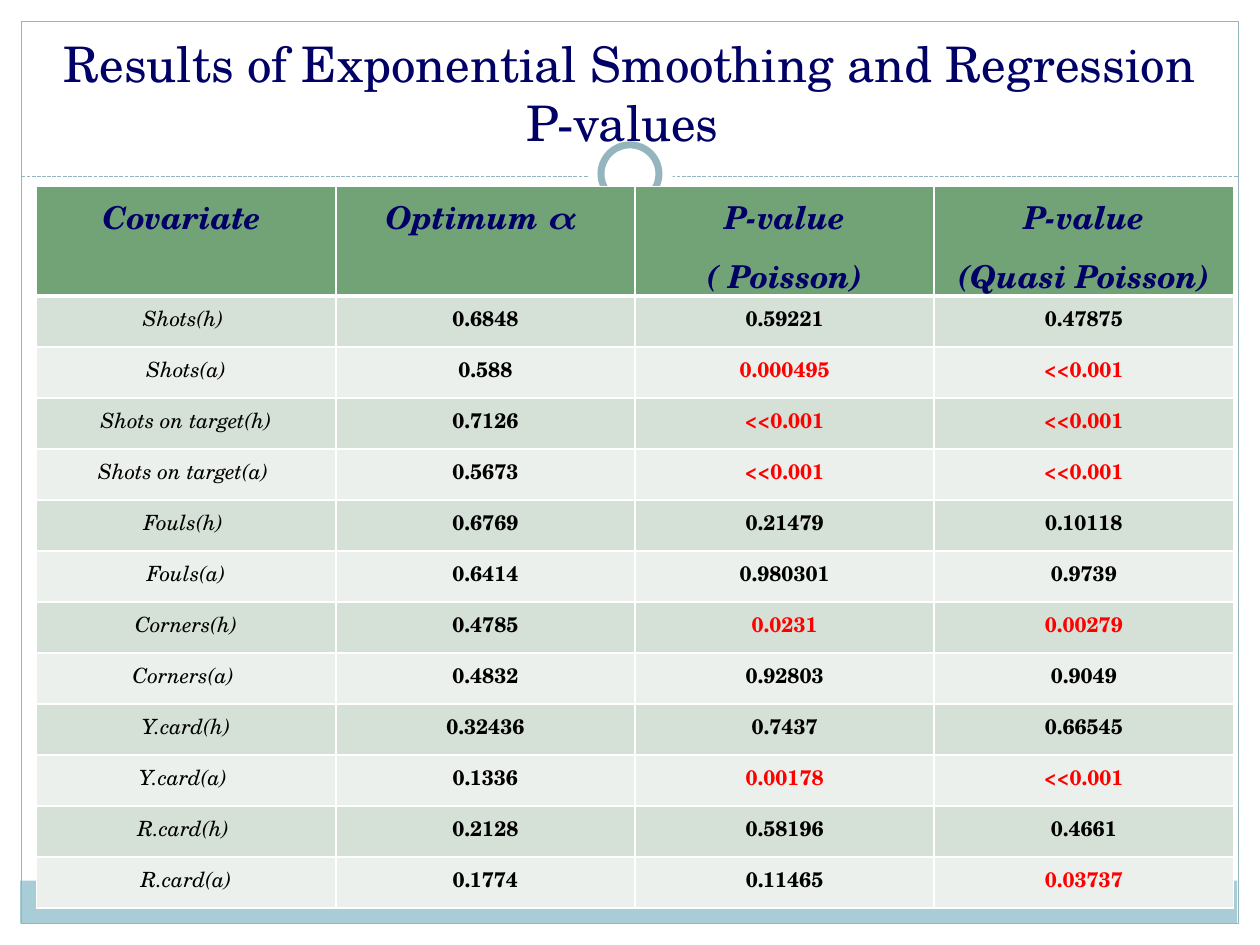
"""Build a slide with a table of smoothing and regression results."""
from lxml import etree
from pptx import Presentation
from pptx import util as u
from pptx.dml.color import RGBColor
from pptx.enum import dml, shapes, text
from pptx.oxml import ns

FONT = "TeX Gyre Schola"
INK = {
    "white": "FFFFFF", "band": "A8CDD7", "frame": "94B5BE", "navy": "000066",
    "head": "72A376", "odd": "D5E0D6", "even": "EBF0EC",
    "black": "000000", "red": "FF0000",
}
HEADS = ["Covariate ", "Optimum α ", "P-value\n( Poisson)", "P-value\n(Quasi Poisson)"]
ROWS = [
    ("Shots(h) ", "0.6848", "0.59221", "0.47875"),
    ("Shots(a)", "0.588", "0.000495", "<<0.001"),
    ("Shots on target(h)", "0.7126", "<<0.001", "<<0.001"),
    ("Shots on target(a) ", "0.5673", "<<0.001", "<<0.001"),
    ("Fouls(h) ", "0.6769", "0.21479", "0.10118"),
    ("Fouls(a)", "0.6414", "0.980301", "0.9739"),
    ("Corners(h)", "0.4785", "0.0231", "0.00279"),
    ("Corners(a) ", "0.4832", "0.92803", "0.9049"),
    ("Y.card(h)", "0.32436", "0.7437", "0.66545"),
    ("Y.card(a) ", "0.1336", "0.00178", "<<0.001"),
    ("R.card(h) ", "0.2128", "0.58196", "0.4661"),
    ("R.card(a)", "0.1774", "0.11465", "0.03737"),
]


def tint(name):
    return RGBColor.from_string(INK[name])


def add_form(slide, kind, box, fill=None, line=None, width=0.75):
    form = slide.shapes.add_shape(kind, *map(u.Inches, box))
    form.shadow.inherit = False
    if fill:
        form.fill.solid()
        form.fill.fore_color.rgb = tint(fill)
    else:
        form.fill.background()
    if line:
        form.line.color.rgb = tint(line)
        form.line.width = u.Pt(width)
    else:
        form.line.fill.background()


def add_rule(slide, left, right, top):
    rule = slide.shapes.add_connector(
        shapes.MSO_CONNECTOR.STRAIGHT, *map(u.Inches, (left, top, right, top)))
    rule.line.color.rgb = tint("frame")
    rule.line.width = u.Pt(0.75)
    rule.line.dash_style = dml.MSO_LINE.SQUARE_DOT
    etree.SubElement(rule._element.spPr, ns.qn("a:effectLst"))


def set_text(frame, words, size, color, bold=False, slant=False, gap=0):
    frame.text = words
    for para in frame.paragraphs:
        para.alignment = text.PP_ALIGN.CENTER
        para.space_before = u.Pt(gap)
        for run in para.runs:
            font = run.font
            font.name, font.size = FONT, u.Pt(size)
            font.bold, font.italic = bold, slant
            font.color.rgb = tint(color)


def add_title(slide, words, box):
    frame = slide.shapes.add_textbox(*map(u.Inches, box)).text_frame
    frame.word_wrap = True
    frame.vertical_anchor = text.MSO_ANCHOR.BOTTOM
    set_text(frame, words, 28, "navy")


def set_cell(cell, fill, top=1, base=1):
    props = cell._tc.get_or_add_tcPr()
    for side, width in (("L", 1), ("R", 1), ("T", top), ("B", base)):
        edge = etree.SubElement(props, ns.qn(f"a:ln{side}"), w=str(u.Pt(width)))
        solid = etree.SubElement(edge, ns.qn("a:solidFill"))
        etree.SubElement(solid, ns.qn("a:srgbClr"), val=INK["white"])
    cell.fill.solid()
    cell.fill.fore_color.rgb = tint(fill)


def is_low(value):
    return value.startswith("<<") or float(value) < 0.05


def add_grid(slide, left, top, width, head, step):
    high = head + step * len(ROWS)
    grid = slide.shapes.add_table(
        len(ROWS) + 1, len(HEADS), *map(u.Inches, (left, top, width, high))).table
    for row in grid.rows:
        row.height = u.Inches(step)
    grid.rows[0].height = u.Inches(head)
    for col, words in enumerate(HEADS):
        cell = grid.cell(0, col)
        set_cell(cell, "head", base=3)
        set_text(cell.text_frame, words, 18, "navy", True, True, 6)
    for num, row in enumerate(ROWS, 1):
        for col, words in enumerate(row):
            cell = grid.cell(num, col)
            set_cell(cell, "odd" if num % 2 else "even", top=3 if num == 1 else 1)
            color = "red" if col > 1 and is_low(words) else "black"
            set_text(cell.text_frame, words, 12, color, col > 0, col == 0, 3)


def main():
    deck = Presentation()
    deck.slide_width, deck.slide_height = u.Inches(10), u.Inches(7.5)
    slide = deck.slides.add_slide(deck.slide_layouts[6])
    rect, oval = shapes.MSO_SHAPE.RECTANGLE, shapes.MSO_SHAPE.OVAL
    add_form(slide, rect, (0.16, 6.99, 9.66, 0.34), fill="band")
    add_form(slide, rect, (0.17, 0.17, 9.66, 7.16), line="frame")
    add_rule(slide, 0.17, 9.83, 1.4)
    add_form(slide, oval, (4.67, 1.05, 0.67, 0.67), fill="white")
    add_form(slide, oval, (4.77, 1.15, 0.46, 0.46), "white", "frame", 4)
    add_title(slide, "Results of Exponential Smoothing and Regression P-values ",
              (0.33, 0.42, 9.33, 0.83))
    add_grid(slide, 0.29, 1.48, 9.5, 0.87, 0.405)
    deck.save("out.pptx")


if __name__ == "__main__":
    main()
